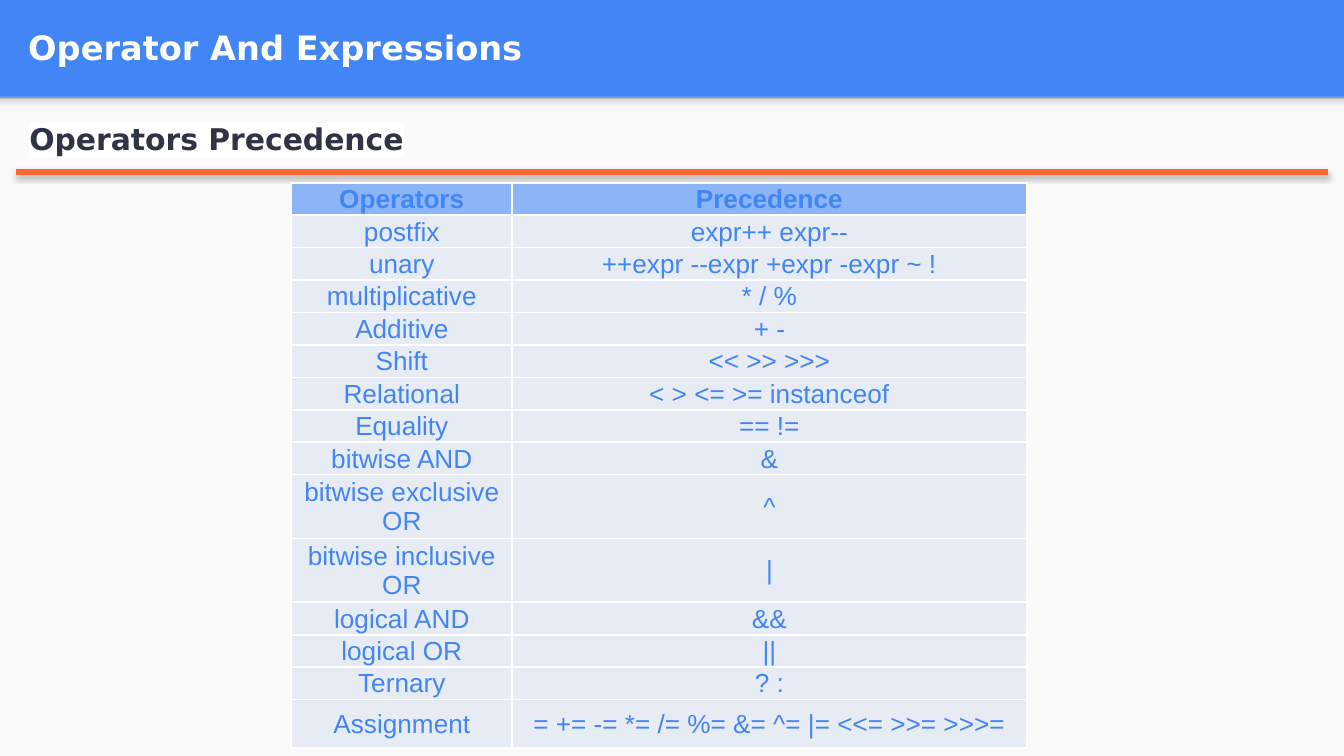
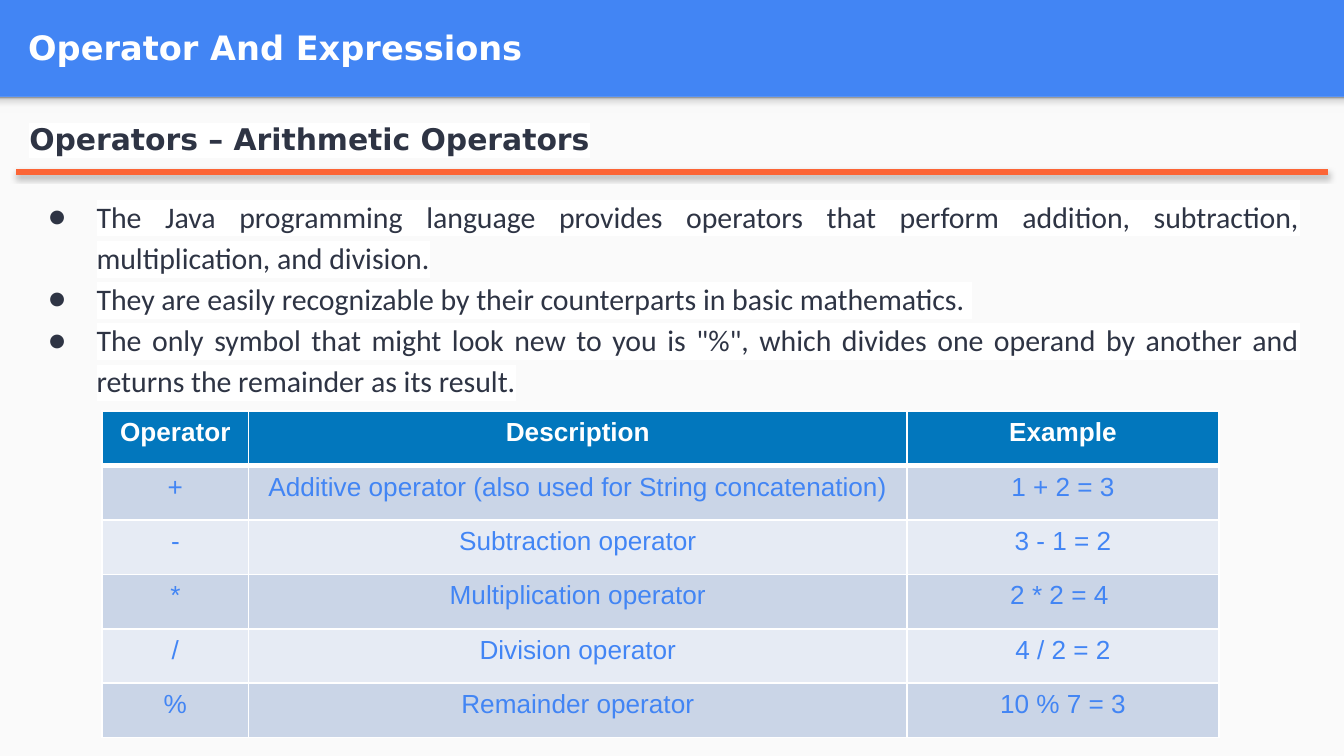
"""Build two slides on operators: a precedence table and the arithmetic operators."""
from dataclasses import dataclass

from lxml import etree
from pptx import Presentation
from pptx.dml import color
from pptx.enum import shapes, text
from pptx.oxml import ns, parse_xml
from pptx.util import Inches, Pt

BLUE, PANEL, WHITE = "4285F4", "FAFAFA", "FFFFFF"
INK, ORANGE = "2E3444", "FC6536"
HEADER_LIGHT, HEADER_DARK = "8CB5F8", "0277BD"
ROW_LIGHT, ROW_DARK = "E6EBF4", "CAD5E7"
HEADING_FONT, BODY_FONT, TABLE_FONT = "DejaVu Sans", "Calibri", "Arial"
WIDTH, BAND = 10, 0.72
HEIGHT = WIDTH * 9 / 16
SLIM = 1 / 128
FADE = [(0, "F9F9F9"), (36, "F9F9F9"), (80, "DEDEDE"), (100, "999999")]
TITLE = "Operator And Expressions"
CENTER, LEFT, JUSTIFY = text.PP_ALIGN.CENTER, text.PP_ALIGN.LEFT, text.PP_ALIGN.JUSTIFY


@dataclass
class Grid:
    left: float
    top: float
    columns: list[float]
    heights: list[float]
    rows: list[tuple[str, ...]]
    header_fill: str
    header_color: str
    header_rule: float
    fills: list[str]
    margins: tuple[float, float, float, float]
    anchor: text.MSO_ANCHOR


@dataclass
class Topic:
    heading: str
    bullets: list[str]
    box_height: float
    grid: Grid


def rgb(value: str) -> color.RGBColor:
    return color.RGBColor.from_string(value)


def element(parent, tag: str, **attributes: str):
    return etree.SubElement(parent, ns.qn(tag), attributes)


def style(para, size: float, font: str, ink: str, bold: bool = False) -> None:
    for span in para.runs:
        span.font.size = Pt(size)
        span.font.name = font
        span.font.bold = bold
        span.font.color.rgb = rgb(ink)


def highlight(para) -> None:
    for span in para.runs:
        mark = parse_xml(f'<a:highlight {ns.nsdecls("a")}><a:srgbClr val="{WHITE}"/></a:highlight>')
        span.font._element.find(ns.qn("a:solidFill")).addnext(mark)


def set_margins(frame, margins: tuple[float, float, float, float]) -> None:
    left, top, right, bottom = (Inches(margin) for margin in margins)
    frame.margin_left, frame.margin_top = left, top
    frame.margin_right, frame.margin_bottom = right, bottom


def add_panel(page, top: float, height: float):
    panel = page.shapes.add_shape(shapes.MSO_SHAPE.RECTANGLE, 0, Inches(top), Inches(WIDTH), Inches(height))
    panel.shadow.inherit = False
    panel.line.fill.background()
    return panel


def add_backdrop(page) -> None:
    panel = add_panel(page, BAND, HEIGHT - BAND)
    panel.fill.solid()
    panel.fill.fore_color.rgb = rgb(PANEL)
    fade = add_panel(page, BAND, 0.12)
    fade.fill.gradient()
    fade.fill.gradient_angle = 90
    stops = fade._element.spPr.find(f".//{ns.qn('a:gsLst')}")
    for stop in list(stops):
        stops.remove(stop)
    for percent, tint in FADE:
        element(element(stops, "a:gs", pos=str(percent * 1000)), "a:srgbClr", val=tint)


def add_title(page) -> None:
    title = page.shapes.title
    title.left, title.top = Inches(0.11), Inches(0.02)
    title.width, title.height = Inches(9.65), Inches(0.66)
    frame = title.text_frame
    frame.text = TITLE
    frame.auto_size = text.MSO_AUTO_SIZE.NONE
    frame.word_wrap = True
    frame.vertical_anchor = text.MSO_ANCHOR.MIDDLE
    set_margins(frame, (0.1, 0.1, 0.1, 0.1))
    frame.paragraphs[0].alignment = LEFT
    style(frame.paragraphs[0], 18, HEADING_FONT, WHITE, True)


def add_bullet(frame, wording: str, gap: float) -> None:
    para = frame.add_paragraph()
    para.text = wording
    para.alignment = JUSTIFY
    para.line_spacing = 1.15
    para.space_before = Pt(gap)
    style(para, 16, BODY_FONT, INK)
    highlight(para)
    settings = para._p.get_or_add_pPr()
    settings.set("marL", str(Inches(0.5)))
    settings.set("indent", str(Inches(-0.36)))
    element(element(settings, "a:buClr"), "a:srgbClr", val=INK)
    element(settings, "a:buFont", typeface=BODY_FONT)
    element(settings, "a:buChar", char="●")


def add_body(page, topic: Topic) -> None:
    box = page.shapes.add_textbox(Inches(0.12), Inches(0.76), Inches(9.65), Inches(topic.box_height))
    frame = box.text_frame
    frame.word_wrap = True
    frame.auto_size = text.MSO_AUTO_SIZE.SHAPE_TO_FIT_TEXT
    set_margins(frame, (0.1, 0.1, 0.1, 0.1))
    frame.text = topic.heading
    heading = frame.paragraphs[0]
    heading.line_spacing = 1.15
    style(heading, 16, HEADING_FONT, INK, True)
    highlight(heading)
    for index, wording in enumerate(topic.bullets):
        add_bullet(frame, wording, 0 if index else 19.5)


def add_rule(page) -> None:
    rule = page.shapes.add_connector(
        shapes.MSO_CONNECTOR.STRAIGHT, Inches(0.12), Inches(1.28), Inches(9.88), Inches(1.28))
    rule.line.color.rgb = rgb(ORANGE)
    rule.line.width = Pt(3)
    effects = element(rule._element.spPr, "a:effectLst")
    shadow = element(effects, "a:outerShdw", blurRad=str(Pt(3.1)), dist=str(Pt(1.8)),
                     dir="5400000", algn="t", rotWithShape="0")
    element(element(shadow, "a:srgbClr", val="000000"), "a:alpha", val="35000")


def set_borders(cell, bottom: float) -> None:
    settings = cell._tc.get_or_add_tcPr()
    for index, (side, width) in enumerate([("L", 1), ("R", 1), ("T", 1), ("B", bottom)]):
        border = parse_xml(
            f'<a:ln{side} {ns.nsdecls("a")} w="{Pt(width)}"><a:solidFill>'
            f'<a:srgbClr val="{WHITE}"/></a:solidFill></a:ln{side}>')
        settings.insert(index, border)


def add_grid(page, grid: Grid) -> None:
    table = page.shapes.add_table(
        len(grid.rows), len(grid.columns), Inches(grid.left), Inches(grid.top),
        Inches(sum(grid.columns)), Inches(sum(grid.heights))).table
    table.horz_banding = False
    for column, width in zip(table.columns, grid.columns):
        column.width = Inches(width)
    for number, (row, height) in enumerate(zip(table.rows, grid.heights)):
        row.height = Inches(height)
        header = number == 0
        fill = grid.header_fill if header else grid.fills[(number - 1) % len(grid.fills)]
        for cell, wording in zip(row.cells, grid.rows[number]):
            cell.text_frame.text = wording
            cell.vertical_anchor = grid.anchor
            set_margins(cell, grid.margins)
            cell.fill.solid()
            cell.fill.fore_color.rgb = rgb(fill)
            set_borders(cell, grid.header_rule if header else 1)
            para = cell.text_frame.paragraphs[0]
            para.alignment = CENTER
            style(para, 14, TABLE_FONT, grid.header_color if header else BLUE, header)


def add_page(deck, topic: Topic) -> None:
    page = deck.slides.add_slide(deck.slide_layouts[5])
    add_backdrop(page)
    add_title(page)
    add_body(page, topic)
    add_rule(page)
    add_grid(page, topic.grid)


PRECEDENCE = Grid(
    2.17, 1.36, [1.64, 3.83], [0.23] * 9 + [0.46] * 2 + [0.23] * 3 + [0.36],
    [
        ("Operators", "Precedence"),
        ("postfix", "expr++\u00a0expr--"),
        ("unary", "++expr\u00a0--expr\u00a0+expr\u00a0-expr\u00a0~ !"),
        ("multiplicative", "* / %"),
        ("Additive", "+ -"),
        ("Shift", "<< >> >>>"),
        ("Relational", "< > <= >= instanceof"),
        ("Equality", "== !="),
        ("bitwise AND", "&"),
        ("bitwise exclusive OR", "^"),
        ("bitwise inclusive OR", "|"),
        ("logical AND", "&&"),
        ("logical OR", "||"),
        ("Ternary", "? :"),
        ("Assignment", "= += -= *= /= %= &= ^= |= <<= >>= >>>="),
    ],
    HEADER_LIGHT, BLUE, 1, [ROW_LIGHT], (SLIM, SLIM, SLIM, 0), text.MSO_ANCHOR.MIDDLE)

ARITHMETIC = Grid(
    0.76, 3.06, [1.09, 4.9, 2.32], [2.43 / 6] * 6,
    [
        ("Operator", "Description", "Example"),
        ("+", "Additive operator (also used for String concatenation)", "1 + 2 = 3"),
        ("-", "Subtraction operator", "3 - 1 = 2"),
        ("*", "Multiplication operator", "2 * 2 = 4 "),
        ("/", "Division operator", "4 / 2 = 2"),
        ("%", "Remainder operator", "10 % 7 = 3"),
    ],
    HEADER_DARK, WHITE, 3, [ROW_DARK, ROW_LIGHT], (0.1, 0.05, 0.1, 0.05), text.MSO_ANCHOR.TOP)

TOPICS = [
    Topic("Operators Precedence", [], 0.78, PRECEDENCE),
    Topic("Operators – Arithmetic Operators", [
        "The Java programming language provides operators that perform addition, "
        "subtraction, multiplication, and division.",
        "They are easily recognizable by their counterparts in basic mathematics. ",
        'The only symbol that might look new to you is "%", which divides one operand '
        "by another and returns the remainder as its result.",
    ], 2.29, ARITHMETIC),
]


def main() -> None:
    deck = Presentation()
    deck.slide_width, deck.slide_height = Inches(WIDTH), Inches(HEIGHT)
    backdrop = deck.slide_master.background.fill
    backdrop.solid()
    backdrop.fore_color.rgb = rgb(BLUE)
    for topic in TOPICS:
        add_page(deck, topic)
    deck.save("out.pptx")


main()
